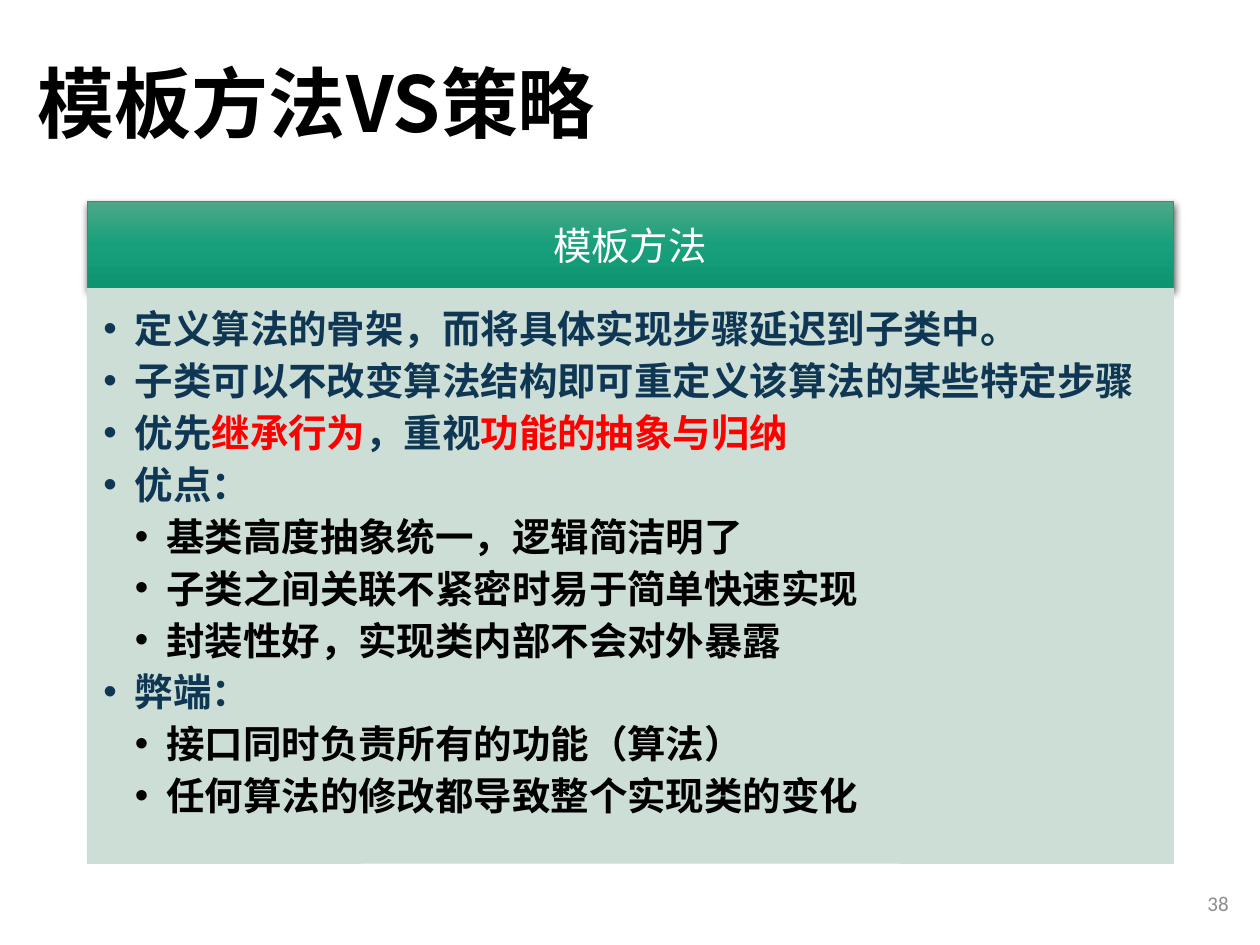
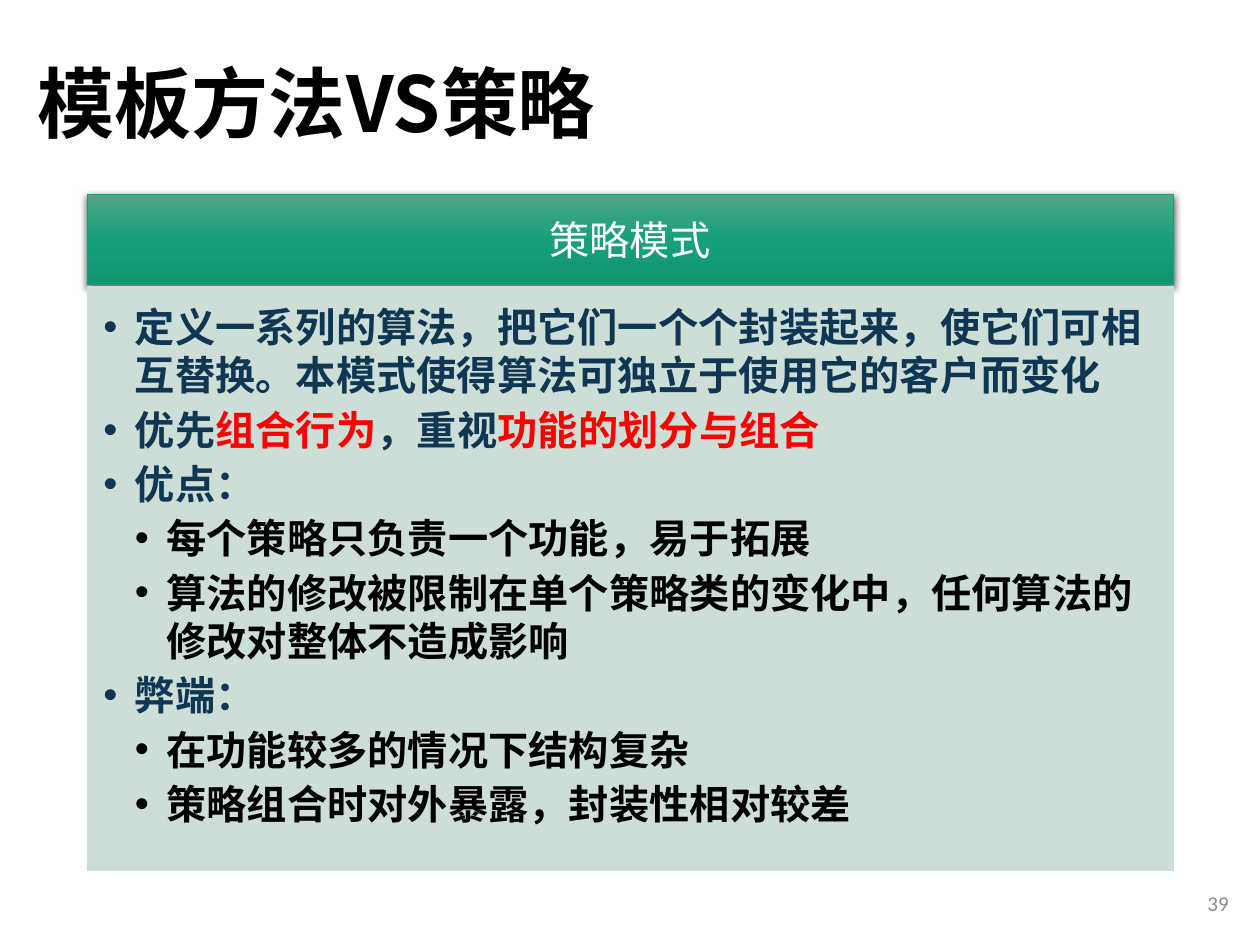
from copy import deepcopy
from dataclasses import dataclass

from lxml import etree
from pptx import Presentation, util as u
from pptx.dml.color import RGBColor
from pptx.enum import shapes, text
from pptx.oxml.ns import qn

PX = 9144  # EMU per px, 100 px to the inch
CJK, LATIN = "Noto Sans CJK SC", "Calibri"
BLACK, WHITE, NAVY, RED, GREY = "000000", "FFFFFF", "0F3754", "FF0000", "8C8C8C"
HEADER_STOPS = ((0, "4EA788"), (0.5, "17A07B"), (1, "0F9470"))
HEADER_LINE, BODY_FILL = "1D9A78", "CDDED6"
TITLE = "模板方法VS策略"
PANEL_LEFT, PANEL_WIDTH = 69, 862
INDENT = 25


@dataclass(frozen=True)
class Point:
    text: str  # words between asterisks are highlighted
    level: int = 1


@dataclass(frozen=True)
class Panel:
    number: int
    heading: str
    size: int
    header_top: int
    header_height: int
    body_top: int
    body_height: int
    points: tuple[Point, ...]


PANELS = (
    Panel(38, "模板方法", 22, 160, 69, 229, 456, (
        Point("定义算法的骨架，而将具体实现步骤延迟到子类中。"),
        Point("子类可以不改变算法结构即可重定义该算法的某些特定步骤"),
        Point("优先*继承行为*，重视*功能的抽象与归纳*"),
        Point("优点："),
        Point("基类高度抽象统一，逻辑简洁明了", 2),
        Point("子类之间关联不紧密时易于简单快速实现", 2),
        Point("封装性好，实现类内部不会对外暴露", 2),
        Point("弊端："),
        Point("接口同时负责所有的功能（算法）", 2),
        Point("任何算法的修改都导致整个实现类的变化", 2),
    )),
    Panel(39, "策略模式", 23, 154, 72, 227, 464, (
        Point("定义一系列的算法，把它们一个个封装起来，使它们可相互替换。"
              "本模式使得算法可独立于使用它的客户而变化"),
        Point("优先*组合行为*，重视*功能的划分与组合*"),
        Point("优点："),
        Point("每个策略只负责一个功能，易于拓展", 2),
        Point("算法的修改被限制在单个策略类的变化中，任何算法的修改对整体不造成影响", 2),
        Point("弊端："),
        Point("在功能较多的情况下结构复杂", 2),
        Point("策略组合时对外暴露，封装性相对较差", 2),
    )),
)


def rgb(color: str) -> RGBColor:
    return RGBColor.from_string(color)


def add_xml(parent, tag: str, **attributes):
    return etree.SubElement(parent, qn(tag), {k: str(v) for k, v in attributes.items()})


def box(left: int, top: int, width: int, height: int) -> list[int]:
    return [side * PX for side in (left, top, width, height)]


def write(paragraph, words: str, *, size: int, color: str, bold=False, font=CJK,
          align=text.PP_ALIGN.LEFT) -> None:
    paragraph.alignment = align
    run = paragraph.add_run()
    run.text = words
    run.font.size, run.font.bold = u.Pt(size), bold
    run.font.color.rgb = rgb(color)
    run.font.name = font
    add_xml(run.font._element, "a:ea", typeface=font)


def set_frame(frame, anchor, left=10, top=5, right=10, bottom=5) -> None:
    frame.word_wrap = True
    frame.auto_size = text.MSO_AUTO_SIZE.NONE
    frame.vertical_anchor = anchor
    frame.margin_left, frame.margin_top = left * PX, top * PX
    frame.margin_right, frame.margin_bottom = right * PX, bottom * PX


def add_band(slide, top: int, height: int, line: str):
    band = slide.shapes.add_shape(shapes.MSO_SHAPE.RECTANGLE,
                                  *box(PANEL_LEFT, top, PANEL_WIDTH, height))
    band.line.color.rgb = rgb(line)
    band.line.width = u.Pt(0.5)
    band.shadow.inherit = False
    return band


def add_header(slide, panel: Panel) -> None:
    header = add_band(slide, panel.header_top, panel.header_height, HEADER_LINE)
    # Three-stop gradient running downwards
    header.fill.gradient()
    header.fill.gradient_angle = 270
    stop_list = header._element.spPr.find(".//" + qn("a:gsLst"))
    stop_list.append(deepcopy(stop_list[-1]))
    for stop, (position, color) in zip(header.fill.gradient_stops, HEADER_STOPS):
        stop.position, stop.color.rgb = position, rgb(color)
    # Soft shadow below
    effects = header._element.spPr.find(qn("a:effectLst"))
    shadow = add_xml(effects, "a:outerShdw", blurRad=u.Pt(4.5), dist=u.Pt(1.5),
                     dir=5400000, rotWithShape=0)
    add_xml(add_xml(shadow, "a:srgbClr", val=BLACK), "a:alpha", val=63000)

    set_frame(header.text_frame, text.MSO_ANCHOR.MIDDLE, 17, 10, 17, 10)
    write(header.text_frame.paragraphs[0], panel.heading, size=panel.size,
          color=WHITE, align=text.PP_ALIGN.CENTER)


def add_point(paragraph, point: Point, size: int) -> None:
    paragraph.level = point.level - 1
    properties = paragraph._p.get_or_add_pPr()
    properties.set("marL", str(point.level * INDENT * PX))
    properties.set("indent", str(-INDENT * PX))
    # Gap of 15 % of the line, then the bullet
    add_xml(add_xml(properties, "a:spcAft"), "a:spcPct", val=15000)
    add_xml(properties, "a:buFont", typeface="Arial")
    add_xml(properties, "a:buChar", char="•")
    plain = NAVY if point.level == 1 else BLACK
    for index, words in enumerate(point.text.split("*")):
        if words:
            write(paragraph, words, size=size, bold=True,
                  color=RED if index % 2 else plain)


def add_body(slide, panel: Panel) -> None:
    body = add_band(slide, panel.body_top, panel.body_height, BODY_FILL)
    body.fill.solid()
    body.fill.fore_color.rgb = rgb(BODY_FILL)
    frame = body.text_frame
    set_frame(frame, text.MSO_ANCHOR.TOP, 13, 13, 17, 19)
    for index, point in enumerate(panel.points):
        add_point(frame.add_paragraph() if index else frame.paragraphs[0],
                  point, panel.size)


def add_title(slide) -> None:
    title = slide.shapes.title
    title.left, title.top, title.width, title.height = box(20, 13, 862, 145)
    set_frame(title.text_frame, text.MSO_ANCHOR.MIDDLE)
    heading = title.text_frame.paragraphs[0]
    heading.line_spacing = 0.9
    write(heading, TITLE, size=44, color=BLACK, bold=True)


def add_page_number(slide, number: int) -> None:
    page = slide.shapes.add_textbox(*box(760, 697, 225, 40)).text_frame
    set_frame(page, text.MSO_ANCHOR.MIDDLE)
    write(page.paragraphs[0], str(number), size=12, color=GREY, font=LATIN,
          align=text.PP_ALIGN.RIGHT)


def main() -> None:
    deck = Presentation()
    deck.slide_width, deck.slide_height = 1000 * PX, 750 * PX
    title_only = deck.slide_layouts[5]
    for panel in PANELS:
        slide = deck.slides.add_slide(title_only)
        add_title(slide)
        add_page_number(slide, panel.number)
        add_header(slide, panel)
        add_body(slide, panel)
    deck.save("out.pptx")


if __name__ == "__main__":
    main()
